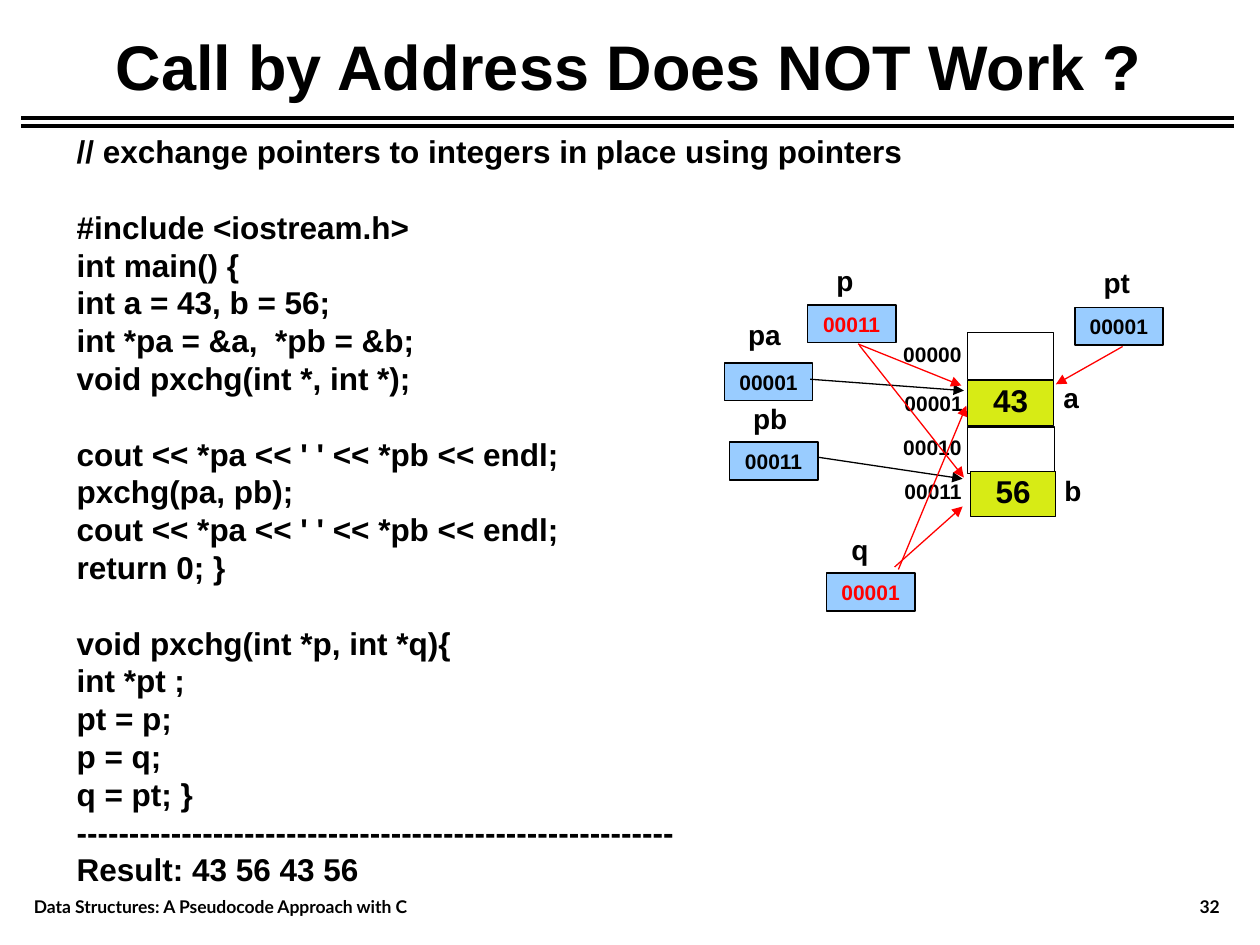
from dataclasses import dataclass

from lxml.etree import SubElement
from pptx import Presentation
from pptx.dml.color import RGBColor
from pptx.enum.shapes import MSO_CONNECTOR, MSO_SHAPE
from pptx.enum.text import MSO_ANCHOR, MSO_AUTO_SIZE, PP_ALIGN
from pptx.oxml.ns import qn
from pptx.util import Pt

PX = 9144  # EMU per px, 100 px to the inch


@dataclass(frozen=True)
class Theme:
    black: str = "000000"
    red: str = "FF0000"
    pointer_fill: str = "99CCFF"
    value_fill: str = "D7EB15"
    body_font: str = "Arial"
    footer_font: str = "Lato"
    title: int = 36
    code: int = 18
    code_line: float = 21.6
    name: int = 16
    address: int = 12
    footer: int = 10


class SlideBuilder:
    def __init__(self, page, theme):
        self.page = page
        self.theme = theme

    def style(self, para, size, color=None, font=None):
        para.font.size = Pt(size)
        para.font.bold = True
        para.font.name = font or self.theme.body_font
        para.font.color.rgb = RGBColor.from_string(color or self.theme.black)

    def text(self, place, words, size):
        """Add an unwrapped text box that fits its words."""
        box = self.page.shapes.add_textbox(*(n * PX for n in place))
        frame = box.text_frame
        frame.word_wrap = False
        frame.auto_size = MSO_AUTO_SIZE.SHAPE_TO_FIT_TEXT
        frame.text = words
        for para in frame.paragraphs:
            self.style(para, size)
        return frame

    def code(self, place, blocks):
        """Add code blocks, set one line apart by paragraph spacing."""
        lines = "\n".join(blocks)
        frame = self.text(place, lines, self.theme.code)
        frame.vertical_anchor = MSO_ANCHOR.MIDDLE
        for para in frame.paragraphs:
            para.line_spacing = Pt(self.theme.code_line)
        start = 0
        for block in blocks[:-1]:
            start += len(block.split("\n"))
            frame.paragraphs[start].space_before = Pt(self.theme.code_line)

    def footer(self, place, words, align):
        box = self.page.shapes.add_textbox(*(n * PX for n in place))
        frame = box.text_frame
        frame.word_wrap = True
        frame.vertical_anchor = MSO_ANCHOR.BOTTOM
        frame.text = words
        para = frame.paragraphs[0]
        para.alignment = align
        self.style(para, self.theme.footer, font=self.theme.footer_font)

    def cell(self, place, words, size, fill=None, color=None, weight=0.75, spacing=1.0):
        """Add an outlined box with centred words; no fill leaves it clear."""
        box = self.page.shapes.add_shape(MSO_SHAPE.RECTANGLE, *(n * PX for n in place))
        box.shadow.inherit = False
        if fill:
            box.fill.solid()
            box.fill.fore_color.rgb = RGBColor.from_string(fill)
        else:
            box.fill.background()
        box.line.color.rgb = RGBColor.from_string(self.theme.black)
        box.line.width = Pt(weight)
        if words:
            frame = box.text_frame
            frame.vertical_anchor = MSO_ANCHOR.MIDDLE
            frame.text = words
            para = frame.paragraphs[0]
            para.alignment = PP_ALIGN.CENTER
            para.line_spacing = spacing
            self.style(para, size, color)

    def line(self, ends, color, weight, arrow=False):
        line = self.page.shapes.add_connector(MSO_CONNECTOR.STRAIGHT, *(n * PX for n in ends))
        line.line.color.rgb = RGBColor.from_string(color)
        line.line.width = Pt(weight)
        if arrow:
            SubElement(line.line._get_or_add_ln(), qn("a:tailEnd"), type="triangle")
        SubElement(line._element.spPr, qn("a:effectLst"))


CODE = [
    "// exchange pointers to integers in place using pointers",
    """#include <iostream.h>
int main() {
int a = 43, b = 56;
int *pa = &a,  *pb = &b;
void pxchg(int *, int *);""",
    """cout << *pa << ' ' << *pb << endl;
pxchg(pa, pb);
cout << *pa << ' ' << *pb << endl;
return 0; }""",
    """void pxchg(int *p, int *q){
int *pt ;
pt = p;
p = q;
q = pt; }
---------------------------------------------------------
Result: 43 56 43 56""",
]


def main():
    theme = Theme()
    deck = Presentation()
    deck.slide_width, deck.slide_height = 1000 * PX, 750 * PX
    builder = SlideBuilder(deck.slides.add_slide(deck.slide_layouts[6]), theme)

    builder.footer((17, 683, 525, 50), "Data Structures: A Pseudocode Approach with C", PP_ALIGN.LEFT)
    builder.footer((770, 683, 208, 50), "32", PP_ALIGN.RIGHT)
    for y in (94, 100):
        builder.line((17, y, 979, y), theme.black, 2.25)
    builder.text((82, 17, 837, 70), "Call by Address Does NOT Work ?", theme.title)
    builder.code((51, 100, 682, 610), CODE)

    # Memory: address, its left and top, cell place, value
    memory = [
        ("00000", 707, 266, (768, 264, 68, 37), ""),
        ("00010", 707, 340, (768, 339, 69, 37), ""),
        ("00001", 708, 305, (768, 302, 68, 36), "43"),
        ("00011", 708, 375, (770, 374, 68, 36), "56"),
    ]
    for address, left, top, place, value in memory:
        builder.text((left, top, 68, 30), address, theme.address)
        fill = theme.value_fill if value else None
        builder.cell(place, value, theme.code, fill, spacing=0.85)

    # Pointers: name, its place, box left and top, address held, colour
    pointers = [
        ("pa", (584, 247, 46, 37), 575, 288, "00001", theme.black),
        ("pb", (588, 314, 47, 37), 579, 351, "00011", theme.black),
        ("p", (654, 204, 33, 37), 641, 242, "00011", theme.red),
        ("q", (666, 418, 33, 37), 656, 455, "00001", theme.red),
        ("pt", (866, 206, 41, 37), 853, 244, "00001", theme.black),
    ]
    for name, place, left, top, address, color in pointers:
        builder.text(place, name, theme.name)
        builder.cell((left, top, 70, 30), address, theme.address, theme.pointer_fill, color, weight=1)

    builder.text((834, 297, 32, 37), "a", theme.name)
    builder.text((835, 371, 33, 37), "b", theme.name)

    arrows = {
        theme.black: [(643, 301, 765, 310), (650, 363, 764, 380)],
        theme.red: [
            (681, 273, 763, 306),
            (682, 274, 765, 379),
            (710, 450, 764, 402),
            (713, 452, 767, 322),
            (891, 275, 838, 305),
        ],
    }
    for color, routes in arrows.items():
        for ends in routes:
            builder.line(ends, color, 0.75, arrow=True)

    deck.save("out.pptx")


if __name__ == "__main__":
    main()
